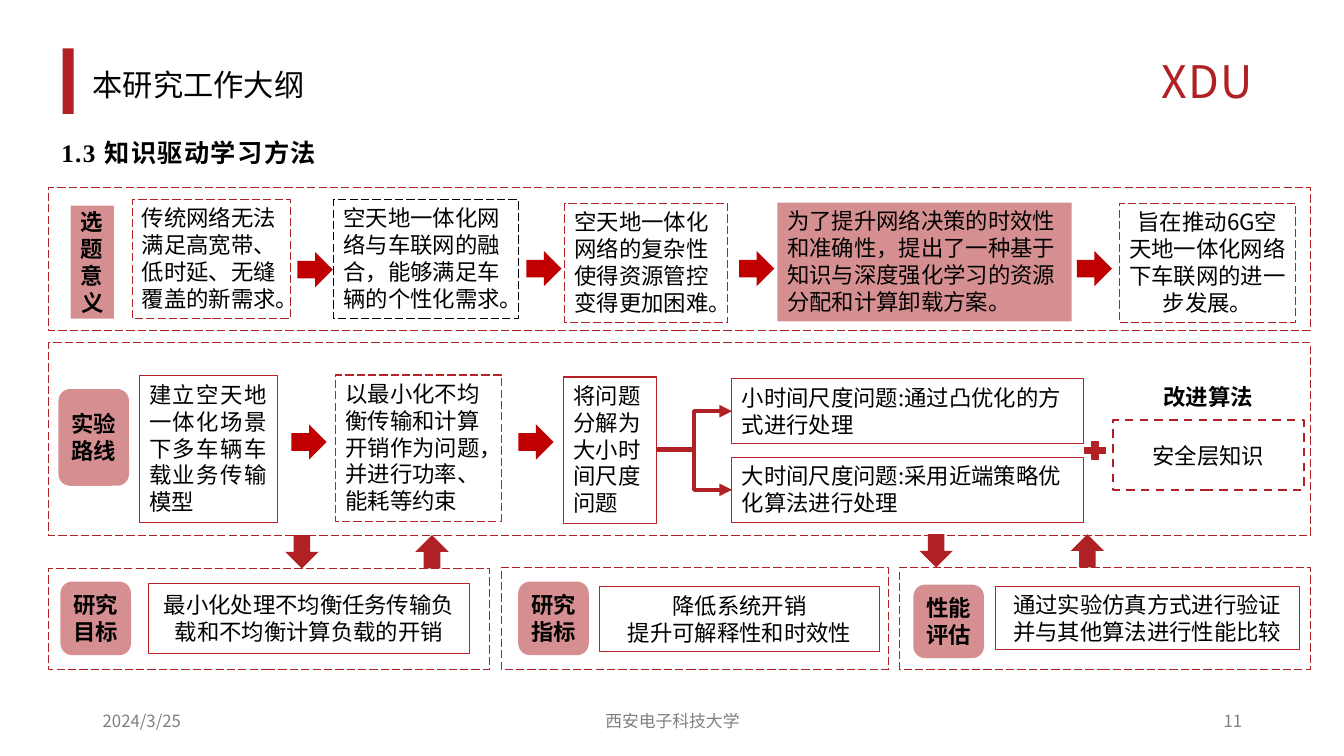
from pptx import Presentation
from pptx.dml.color import RGBColor
from pptx.enum.dml import MSO_LINE
from pptx.enum.shapes import MSO_CONNECTOR, MSO_SHAPE
from pptx.enum.text import MSO_ANCHOR, PP_ALIGN
from pptx.oxml.ns import qn
from pptx.oxml.xmlchemy import OxmlElement
from pptx.util import Inches, Pt

COLORS = {"red": "AF2125", "edge": "B82327", "arrow": "C00000",
          "black": "000000", "grey": "808080"}
SANS, SERIF = "Noto Sans CJK SC", "Times New Roman"
LEFT, CENTER, RIGHT = PP_ALIGN.LEFT, PP_ALIGN.CENTER, PP_ALIGN.RIGHT
TOP, MIDDLE = MSO_ANCHOR.TOP, MSO_ANCHOR.MIDDLE


def rgb(name):
    return RGBColor.from_string(COLORS[name])


def write(sp, text, size=16, color="black", bold=False, align=LEFT,
          anchor=TOP, font=SANS, leading=1.2, tracking=0, wrap=True):
    """Fill a shape with one paragraph per line of text."""
    tf = sp.text_frame
    tf.word_wrap = wrap
    tf.vertical_anchor = anchor
    for i, line in enumerate(text.split("\n")):
        p = tf.paragraphs[0] if i == 0 else tf.add_paragraph()
        p.add_run().text = line
        p.alignment = align
        p.line_spacing = Pt(round(size * leading, 1))
        p.font.size = Pt(size)
        p.font.bold = bold
        p.font.color.rgb = rgb(color)
        p.font.name = font
        props = p._p.pPr.find(qn("a:defRPr"))
        east_asian = OxmlElement("a:ea")
        east_asian.set("typeface", SANS)
        props.append(east_asian)
        if tracking:
            props.set("spc", str(tracking * 100))


def add_text(s, x, y, w, h, text, **style):
    sp = s.shapes.add_textbox(Inches(x), Inches(y), Inches(w), Inches(h))
    write(sp, text, **style)


def add_block(s, x, y, w, h, kind=MSO_SHAPE.RECTANGLE, fill=None, alpha=100,
              line=None, width=0.75, dash=None):
    sp = s.shapes.add_shape(kind, Inches(x), Inches(y), Inches(w), Inches(h))
    sp.shadow.inherit = False
    if fill:
        sp.fill.solid()
        sp.fill.fore_color.rgb = rgb(fill)
        if alpha < 100:
            opacity = OxmlElement("a:alpha")
            opacity.set("val", str(alpha * 1000))
            sp._element.spPr.find(qn("a:solidFill"))[0].append(opacity)
    else:
        sp.fill.background()
    if line:
        sp.line.color.rgb = rgb(line)
        sp.line.width = Pt(width)
        if dash:
            sp.line.dash_style = dash
    else:
        sp.line.fill.background()
    return sp


def add_panel(s, x, y, w, h):
    add_block(s, x, y, w, h, line="red", dash=MSO_LINE.LONG_DASH)


def add_box(s, x, y, w, h, text, line="edge", dash=None, width=0.75, **style):
    write(add_block(s, x, y, w, h, line=line, dash=dash, width=width),
          text, **style)


def add_label(s, x, y, w, h, text, kind=MSO_SHAPE.ROUNDED_RECTANGLE, **style):
    sp = add_block(s, x, y, w, h, kind, fill="red", alpha=50)
    tf = sp.text_frame
    tf.margin_left = tf.margin_right = tf.margin_top = tf.margin_bottom = 0
    write(sp, text, bold=True, align=CENTER, anchor=MIDDLE, **style)


def add_branch(s, x1, y1, x2, y2):
    c = s.shapes.add_connector(MSO_CONNECTOR.ELBOW, Inches(x1), Inches(y1),
                               Inches(x2), Inches(y2))
    c.line.color.rgb = rgb("red")
    c.line.width = Pt(3)
    head = OxmlElement("a:tailEnd")
    head.set("type", "triangle")
    c.line._get_or_add_ln().append(head)
    c._element.spPr.append(OxmlElement("a:effectLst"))


def add_header_and_footer(s):
    add_block(s, 0.62, 0.48, 0.11, 0.65, fill="red")
    add_text(s, 11.42, 0.31, 1.21, 0.74, "XDU", size=32, color="red",
             leading=1.6, tracking=1, wrap=False)
    add_text(s, 0.82, 0.58, 11.5, 0.4, "本研究工作大纲", size=21.6,
             font=SERIF, leading=1.56, anchor=MIDDLE)
    add_text(s, 0.51, 1.22, 5.23, 0.46, "1.3 知识驱动学习方法", size=18,
             font=SERIF, bold=True, leading=1.56, tracking=1)
    for x, w, text, align in ((0.92, 3, "2024/3/25", LEFT),
                              (4.42, 4.5, "西安电子科技大学", CENTER),
                              (9.42, 3, "11", RIGHT)):
        add_text(s, x, 6.95, w, 0.4, text, size=12, color="grey",
                 align=align, anchor=MIDDLE)


def add_significance(s):
    add_panel(s, 0.48, 1.86, 12.52, 1.42)
    add_label(s, 0.7, 2.04, 0.43, 1.12, "选题意义", MSO_SHAPE.RECTANGLE,
              tracking=1)
    for x, y, w, line, align, text in (
            (1.31, 1.98, 1.57, "red", LEFT,
             "传统网络无法满足高宽带、低时延、无缝覆盖的新需求。"),
            (3.31, 1.98, 1.83, "black", LEFT,
             "空天地一体化网络与车联网的融合，能够满足车辆的个性化需求。"),
            (5.6, 2.02, 1.62, "red", LEFT,
             "空天地一体化网络的复杂性使得资源管控变得更加困难。"),
            (11.1, 2.02, 1.75, "red", CENTER,
             "旨在推动6G空天地一体化网络下车联网的进一步发展。")):
        add_box(s, x, y, w, 1.18, text, line=line, dash=MSO_LINE.LONG_DASH,
                align=align)
    proposal = add_block(s, 7.71, 2.01, 2.92, 1.18, fill="red", alpha=50)
    write(proposal, "为了提升网络决策的时效性和准确性，提出了一种基于"
                    "知识与深度强化学习的资源分配和计算卸载方案。")


def add_route(s):
    add_panel(s, 0.48, 3.4, 12.52, 1.91)
    add_label(s, 0.58, 3.86, 0.7, 0.96, "实验路线")
    add_box(s, 1.38, 3.73, 1.37, 1.45,
            "建立空天地一体化场景下多车辆车载业务传输模型",
            align=PP_ALIGN.JUSTIFY)
    add_box(s, 3.33, 3.72, 1.64, 1.45,
            "以最小化不均衡传输和计算开销作为问题，并进行功率、能耗等约束",
            dash=MSO_LINE.LONG_DASH)
    add_box(s, 5.59, 3.74, 0.92, 1.45, "将问题分解为大小时间尺度问题")
    for y, text in ((3.76, "小时间尺度问题:通过凸优化的方式进行处理"),
                    (4.54, "大时间尺度问题:采用近端策略优化算法进行处理")):
        add_box(s, 7.26, y, 3.49, 0.64, text)
        add_branch(s, 6.51, 4.46, 7.26, y + 0.32)
    add_block(s, 10.72, 4.35, 0.28, 0.24, MSO_SHAPE.MATH_PLUS, fill="red",
              line="red", width=1)
    add_text(s, 11.25, 3.75, 1.47, 0.37, "改进算法", bold=True, align=CENTER)
    add_box(s, 11.04, 4.17, 1.89, 0.69, "安全层知识", line="red",
            dash=MSO_LINE.DASH, width=1.5, align=CENTER, anchor=MIDDLE)


def add_outcomes(s):
    for panel, label, box, title, text in (
            ((0.48, 5.64, 4.38, 1), (0.6, 5.77), (1.47, 5.79, 3.19, 0.69),
             "研究目标", "最小化处理不均衡任务传输负载和不均衡计算负载的开销"),
            ((4.97, 5.63, 3.84, 1.01), (5.14, 5.77), (5.95, 5.82, 2.77, 0.64),
             "研究指标", "降低系统开销\n提升可解释性和时效性"),
            ((8.92, 5.63, 4.08, 1.01), (9.06, 5.8), (9.87, 5.82, 3.02, 0.62),
             "性能评估", "通过实验仿真方式进行验证\n并与其他算法进行性能比较")):
        add_panel(s, *panel)
        add_label(s, *label, 0.7, 0.73, title)
        add_box(s, *box, text, align=CENTER, anchor=MIDDLE)


def add_arrows(s):
    for x, y in ((2.95, 2.5), (5.22, 2.49), (7.33, 2.49), (10.68, 2.49),
                 (2.89, 4.21), (5.14, 4.21)):
        add_block(s, x, y, 0.35, 0.35, MSO_SHAPE.RIGHT_ARROW, fill="arrow")
    for x, y, kind in ((2.83, 5.31, MSO_SHAPE.DOWN_ARROW),
                       (4.12, 5.31, MSO_SHAPE.UP_ARROW),
                       (9.12, 5.3, MSO_SHAPE.DOWN_ARROW),
                       (10.62, 5.3, MSO_SHAPE.UP_ARROW)):
        add_block(s, x, y, 0.33, 0.33, kind, fill="red")


def main():
    prs = Presentation()
    prs.slide_width, prs.slide_height = Inches(13.33), Inches(7.5)
    s = prs.slides.add_slide(prs.slide_layouts[6])
    add_header_and_footer(s)
    add_significance(s)
    add_route(s)
    add_outcomes(s)
    add_arrows(s)
    prs.save("out.pptx")


if __name__ == "__main__":
    main()
